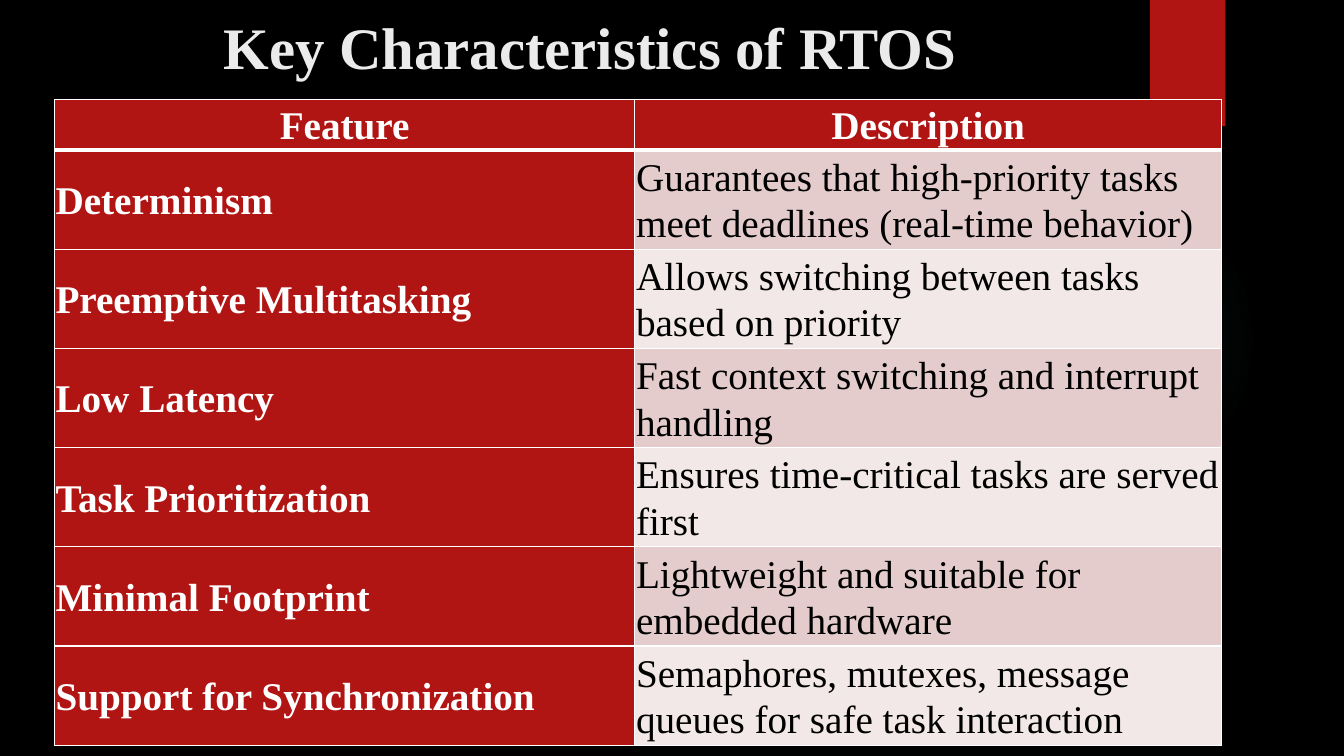
from pptx import Presentation
from pptx.dml.color import RGBColor
from pptx.enum.shapes import MSO_SHAPE as Shape
from pptx.enum.text import MSO_ANCHOR as Anchor, MSO_AUTO_SIZE as AutoSize, PP_ALIGN as Align
from pptx.oxml import parse_xml
from pptx.util import Cm, Pt

NS = 'xmlns:a="http://schemas.openxmlformats.org/drawingml/2006/main"'
FONT = "Times New Roman"
RED, WHITE, BLACK = "B01513", "FFFFFF", "000000"
BANDS = ["E4CCCC", "F2E8E7"]
ROWS = [
    ("Feature", "Description"),
    ("Determinism", "Guarantees that high-priority tasks meet deadlines (real-time behavior)"),
    ("Preemptive Multitasking", "Allows switching between tasks based on priority"),
    ("Low Latency", "Fast context switching and interrupt handling"),
    ("Task Prioritization", "Ensures time-critical tasks are served first"),
    ("Minimal Footprint", "Lightweight and suitable for embedded hardware"),
    ("Support for Synchronization", "Semaphores, mutexes, message queues for safe task interaction"),
]


def rgb(color):
    return RGBColor.from_string(color)


def style(p, size, color, bold, align):
    p.alignment = align
    p.font.name, p.font.size, p.font.bold = FONT, Pt(size), bold
    p.font.color.rgb = rgb(color)


prs = Presentation()
prs.slide_width, prs.slide_height = Cm(33.87), Cm(19.05)
s = prs.slides.add_slide(prs.slide_layouts[5])
s.background.fill.solid()
s.background.fill.fore_color.rgb = rgb(BLACK)

# Faint round glow
glow = s.shapes.add_shape(Shape.OVAL, Cm(23.9), Cm(4.65), Cm(7.82), Cm(7.82))
glow.shadow.inherit = False
glow.line.fill.background()
stops = "".join(
    f'<a:gs pos="{pos}000"><a:srgbClr val="50B9C1"><a:alpha val="{alpha}000"/></a:srgbClr></a:gs>'
    for pos, alpha in [(0, 7), (36, 6), (69, 0)])
glow.fill.background()
no_fill = glow._element.spPr.find("{*}noFill")
glow._element.spPr.replace(no_fill, parse_xml(
    f'<a:gradFill {NS}><a:gsLst>{stops}</a:gsLst><a:path path="circle">'
    '<a:fillToRect l="50000" t="50000" r="50000" b="50000"/></a:path></a:gradFill>'))

# Red tab at the top edge
tab = s.shapes.add_shape(Shape.RECTANGLE, Cm(28.98), 0, Cm(1.9), Cm(3.18))
tab.fill.solid()
tab.fill.fore_color.rgb = rgb(RED)
tab.line.fill.background()
tab._element.spPr.append(parse_xml(
    f'<a:effectLst {NS}><a:outerShdw blurRad="{Pt(3)}" dist="{Pt(2)}" dir="5400000">'
    f'<a:srgbClr val="{BLACK}"><a:alpha val="45000"/></a:srgbClr></a:outerShdw></a:effectLst>'))

# Title
title = s.shapes.title
title.left, title.top, title.width, title.height = Cm(1.8), Cm(0), Cm(26.14), Cm(2.3)
tf = title.text_frame
tf.text = "Key Characteristics of RTOS"
tf.auto_size = AutoSize.NONE
tf.vertical_anchor = Anchor.MIDDLE
style(tf.paragraphs[0], 42, "EBEBEB", True, Align.CENTER)

# Feature table
table = s.shapes.add_table(len(ROWS), 2, Cm(1.37), Cm(2.51), Cm(29.41), Cm(16.31)).table
table.columns[0].width, table.columns[1].width = Cm(14.63), Cm(14.78)
for i, texts in enumerate(ROWS):
    table.rows[i].height = Cm(2.5 if i else 1.27)
    for j, text in enumerate(texts):
        is_body = i > 0 and j > 0
        cell = table.cell(i, j)
        cell.text = text
        cell.vertical_anchor = Anchor.MIDDLE
        cell.margin_left = cell.margin_right = cell.margin_top = cell.margin_bottom = Cm(0.03)
        p = cell.text_frame.paragraphs[0]
        style(p, 28, BLACK if is_body else WHITE, not is_body, Align.LEFT if i else Align.CENTER)
        p.line_spacing = 1.07
        for side in "LRTB":
            under_header = (i, side) in [(0, "B"), (1, "T")]
            cell._tc.tcPr.append(parse_xml(
                f'<a:ln{side} {NS} w="{Pt(3 if under_header else 1)}"><a:solidFill>'
                f'<a:srgbClr val="{WHITE}"/></a:solidFill></a:ln{side}>'))
        cell.fill.solid()
        cell.fill.fore_color.rgb = rgb(BANDS[(i - 1) % 2] if is_body else RED)

prs.save("out.pptx")
